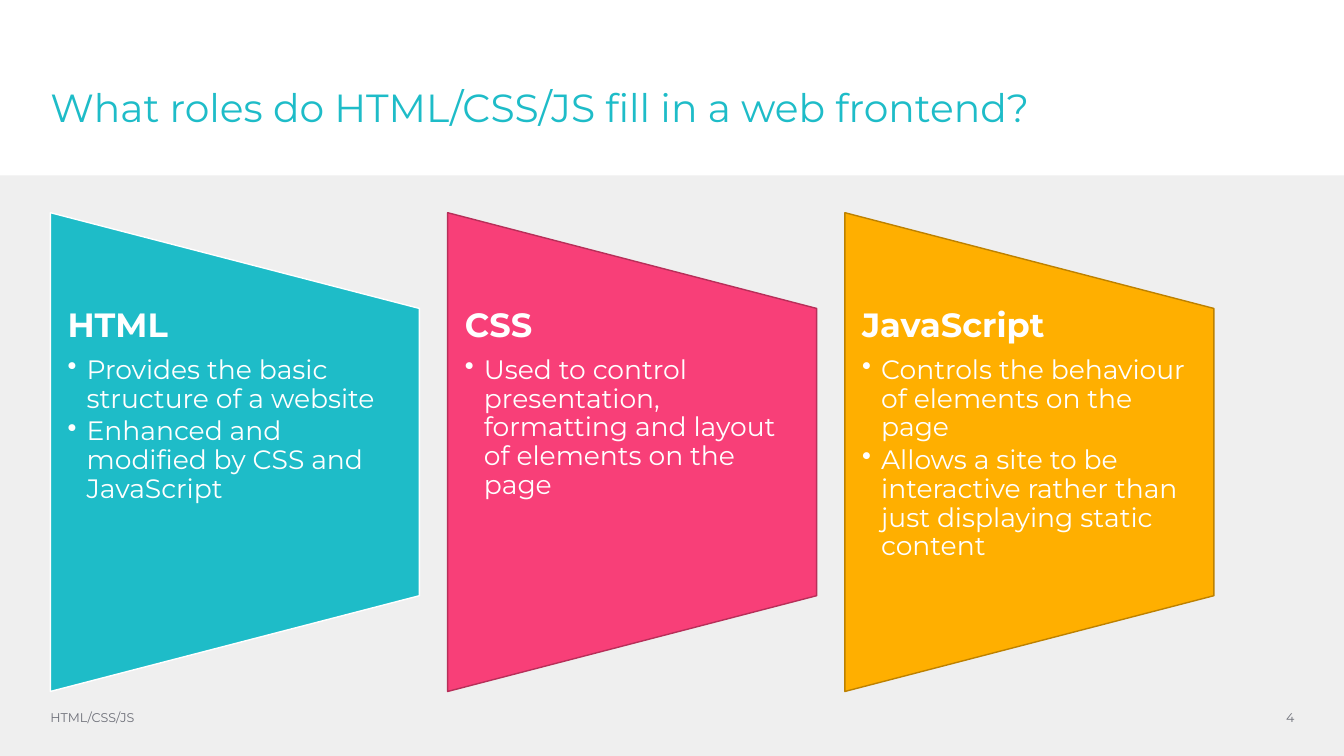
from lxml import etree
from pptx import Presentation
from pptx import util as u
from pptx.dml.color import RGBColor
from pptx.enum import shapes, text
from pptx.oxml.ns import qn

TITLE = "What roles do HTML/CSS/JS fill in a web frontend?"
FOOTER = "HTML/CSS/JS"
PAGE_NUMBER = "4"
ROLES = [
    ("HTML", "teal", "white", [
        "Provides the basic structure of a website",
        "Enhanced and modified by CSS and JavaScript"]),
    ("CSS", "pink", "dark_pink", [
        "Used to control presentation, formatting and layout of elements on the page"]),
    ("JavaScript", "amber", "dark_amber", [
        "Controls the behaviour of elements on the page",
        "Allows a site to be interactive rather than just displaying static content"]),
]
COLOURS = {
    "teal": "1EBCC8", "pink": "F83F78", "amber": "FFAF00", "white": "FFFFFF",
    "dark_pink": "B72F59", "dark_amber": "BD8100", "grey": "6D6F78", "panel": "EFEFEF",
}
FONT = "Montserrat"
WIDTH, HEIGHT = 13.33, 7.5
MARGIN = 0.5
PANEL_TOP = 1.74
CARD_WIDTH, CARD_HEIGHT, CARD_TOP = 3.66, 4.75, 2.11
CARD_STEP = 3.94
TEXT_SHARE = 0.6
INSET, BULLET_INDENT = 0.17, 0.19
FOOTER_TOP, FOOTER_HEIGHT = 6.99, 0.25


def colour(name):
    return RGBColor.from_string(COLOURS[name])


def box(left, top, width, height):
    return [u.Inches(value) for value in (left, top, width, height)]


def add_shape(slide, kind, bounds, fill, line=None):
    shape = slide.shapes.add_shape(kind, *bounds)
    shape.shadow.inherit = False
    shape.fill.solid()
    shape.fill.fore_color.rgb = colour(fill)
    if line:
        shape.line.color.rgb = colour(line)
        shape.line.width = u.Pt(1)
    else:
        shape.line.fill.background()
    return shape


def prepare_frame(shape, inset=0, anchor=text.MSO_ANCHOR.TOP):
    frame = shape.text_frame
    frame.word_wrap = True
    frame.auto_size = text.MSO_AUTO_SIZE.NONE
    frame.vertical_anchor = anchor
    frame.margin_left = frame.margin_right = u.Inches(inset)
    frame.margin_top = frame.margin_bottom = 0
    return frame


def write(paragraph, words, size, ink, bold=False, align=text.PP_ALIGN.LEFT,
          spacing=1.0, after=0, bullet=False):
    paragraph.alignment = align
    paragraph.line_spacing = spacing
    paragraph.space_before = u.Pt(0)
    paragraph.space_after = u.Pt(after)
    run = paragraph.add_run()
    run.text = words
    run.font.name = FONT
    run.font.size = u.Pt(size)
    run.font.bold = bold
    run.font.color.rgb = colour(ink)
    if bullet:
        paragraph.level = 1
        properties = paragraph._p.get_or_add_pPr()
        properties.set("marL", str(u.Inches(BULLET_INDENT)))
        properties.set("indent", str(-u.Inches(BULLET_INDENT)))
        etree.SubElement(properties, qn("a:buChar")).set("char", "•")


def add_title(slide):
    title = slide.shapes.title
    title.left, title.top, title.width, title.height = box(MARGIN, 0.88, 11.54, 1.24)
    write(prepare_frame(title).paragraphs[0], TITLE, 28, "teal", spacing=0.9)
    return title


def add_footer(slide, words, left, width, align):
    shape = slide.shapes.add_textbox(*box(left, FOOTER_TOP, width, FOOTER_HEIGHT))
    frame = prepare_frame(shape, anchor=text.MSO_ANCHOR.MIDDLE)
    write(frame.paragraphs[0], words, 9, "grey", align=align)


def add_role(slide, column, heading, fill, line, points):
    left = MARGIN + column * CARD_STEP
    turn = (CARD_HEIGHT - CARD_WIDTH) / 2
    card = add_shape(slide, shapes.MSO_SHAPE.FLOWCHART_MANUAL_OPERATION,
                     box(left - turn, CARD_TOP + turn, CARD_HEIGHT, CARD_WIDTH), fill, line)
    card.rotation = 270
    text_top = CARD_TOP + CARD_HEIGHT * (1 - TEXT_SHARE) / 2
    label = slide.shapes.add_textbox(
        *box(left, text_top, CARD_WIDTH, CARD_HEIGHT * TEXT_SHARE))
    frame = prepare_frame(label, inset=INSET)
    write(frame.paragraphs[0], heading, 24, "white", bold=True, spacing=0.9, after=8.4)
    for point in points:
        write(frame.add_paragraph(), point, 19, "white", spacing=0.9, after=2.85, bullet=True)


def main():
    presentation = Presentation()
    presentation.slide_width, presentation.slide_height = u.Inches(WIDTH), u.Inches(HEIGHT)
    slide = presentation.slides.add_slide(presentation.slide_layouts[5])
    title = add_title(slide)
    panel = add_shape(slide, shapes.MSO_SHAPE.RECTANGLE,
                      box(0, PANEL_TOP, WIDTH, HEIGHT - PANEL_TOP), "panel")
    title._element.addprevious(panel._element)
    add_footer(slide, FOOTER, MARGIN, 9.11, text.PP_ALIGN.LEFT)
    add_footer(slide, PAGE_NUMBER, 12.04, 0.8, text.PP_ALIGN.RIGHT)
    for column, role in enumerate(ROLES):
        add_role(slide, column, *role)
    presentation.save("out.pptx")


if __name__ == "__main__":
    main()
